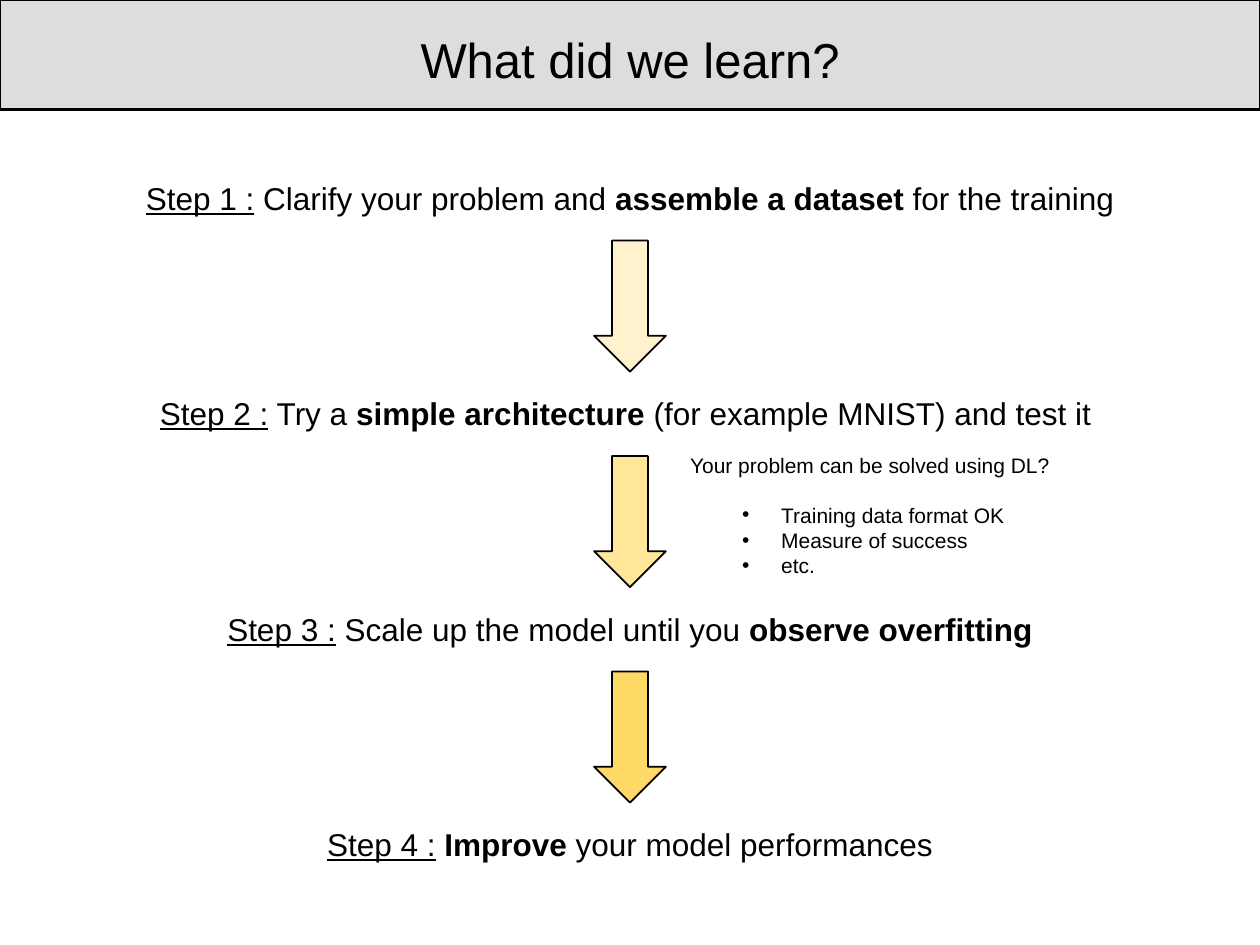
import dataclasses

import lxml.etree
import pptx
import pptx.dml.color
import pptx.enum.shapes
import pptx.enum.text
import pptx.oxml.ns
import pptx.util

SHAPE = pptx.enum.shapes.MSO_SHAPE
ALIGN = pptx.enum.text.PP_ALIGN
ANCHOR = pptx.enum.text.MSO_ANCHOR
WIDTH, HEIGHT = 10, 7.5
STEPS = [
    "Clarify your problem and *assemble a dataset* for the training",
    "Try a *simple architecture *(for example MNIST) and test it ",
    "Scale up the model until you *observe overfitting*",
    "*Improve *your model performances",
]
QUESTION = "Your problem can be solved using DL?"
CHECKS = ["Training data format OK", "Measure of success", "etc."]


@dataclasses.dataclass(frozen=True)
class Theme:
    font: str = "Arial"
    ink: str = "000000"
    banner: str = "DDDDDD"
    arrows: tuple = ("FFF2CC", "FFE699", "FFD966")
    title: int = 28
    step: int = 18
    note: int = 12


@dataclasses.dataclass(frozen=True)
class Box:
    x: float
    y: float
    w: float
    h: float

    def inner(self, dx, dy, w, h):
        return Box(self.x + dx, self.y + dy, w, h)

    def emu(self):
        return [pptx.util.Inches(v) for v in (self.x, self.y, self.w, self.h)]


THEME = Theme()


def rgb(value):
    return pptx.dml.color.RGBColor.from_string(value)


def add_text(p, text, size, bold=False, underline=False):
    r = p.add_run()
    r.text = text
    r.font.name, r.font.size = THEME.font, pptx.util.Pt(size)
    r.font.bold, r.font.underline = bold, underline
    r.font.color.rgb = rgb(THEME.ink)


def add_block(s, kind, box, fill, line):
    sp = s.shapes.add_shape(kind, *box.emu())
    sp.shadow.inherit = False
    sp.fill.solid()
    sp.fill.fore_color.rgb = rgb(fill)
    sp.line.color.rgb = rgb(THEME.ink)
    sp.line.width = pptx.util.Pt(line)
    return sp


def place(sp, box, anchor):
    sp.left, sp.top, sp.width, sp.height = box.emu()
    tf = sp.text_frame
    tf.word_wrap = True
    tf.auto_size = pptx.enum.text.MSO_AUTO_SIZE.NONE
    tf.vertical_anchor = anchor
    return tf


def set_bullet(p, char=None, margin=0, indent=0):
    pPr = p._p.get_or_add_pPr()
    pPr.set("marL", str(pptx.util.Inches(margin)))
    pPr.set("indent", str(pptx.util.Inches(indent)))
    tag = pptx.oxml.ns.qn("a:buChar" if char else "a:buNone")
    bullet = lxml.etree.SubElement(pPr, tag)
    if char:
        bullet.set("char", char)


def add_header(s, box):
    banner = add_block(s, SHAPE.RECTANGLE, box, THEME.banner, 1.5)
    title = s.shapes.title
    banner.element.addnext(title.element)
    tf = place(title, box.inner(0, 0.19, box.w, 0.55), ANCHOR.MIDDLE)
    p = tf.paragraphs[0]
    p.alignment = ALIGN.CENTER
    add_text(p, "What did we learn?", THEME.title)


def add_step(s, box, number, text):
    sp = s.shapes.add_textbox(*box.emu())
    tf = place(sp, box.inner(0, 0, box.w, 0.4), ANCHOR.TOP)
    p = tf.paragraphs[0]
    p.alignment = ALIGN.CENTER
    add_text(p, f"Step {number} :", THEME.step, underline=True)
    for i, piece in enumerate(f" {text}".split("*")):
        if piece:
            add_text(p, piece, THEME.step, bold=i % 2 == 1)


def add_arrow(s, box, fill):
    w = 0.57
    arrow = box.inner((box.w - w) / 2, 0.54, w, 1.04)
    add_block(s, SHAPE.DOWN_ARROW, arrow, fill, 1)


def add_note(s, box):
    tf = place(s.placeholders[1], box, ANCHOR.TOP)
    for i, text in enumerate([QUESTION] + CHECKS):
        p = tf.add_paragraph() if i else tf.paragraphs[0]
        p.space_before = pptx.util.Pt(0)
        if i:
            p.level = 1
            p.alignment = ALIGN.LEFT
            set_bullet(p, "•", 0.81, -0.31)
        else:
            p.alignment = ALIGN.CENTER
            p.space_after = pptx.util.Pt(14)
            set_bullet(p)
        add_text(p, text, THEME.note)


def add_flow(s, box):
    pitch = box.h / len(STEPS)
    rows = [box.inner(0, i * pitch, box.w, pitch) for i in range(len(STEPS))]
    for number, (row, text) in enumerate(zip(rows, STEPS), 1):
        add_step(s, row, number, text)
    for row, fill in zip(rows, THEME.arrows):
        add_arrow(s, row, fill)
    add_note(s, rows[1].inner(4.93, 0.46, 3.23, 1.11))


def main():
    prs = pptx.Presentation()
    prs.slide_width = pptx.util.Inches(WIDTH)
    prs.slide_height = pptx.util.Inches(HEIGHT)
    s = prs.slides.add_slide(prs.slide_layouts[1])
    add_header(s, Box(0, 0, WIDTH, 0.87))
    add_flow(s, Box(0.36, 1.37, WIDTH - 2 * 0.36, 4 * 1.71))
    prs.save("out.pptx")


if __name__ == "__main__":
    main()
